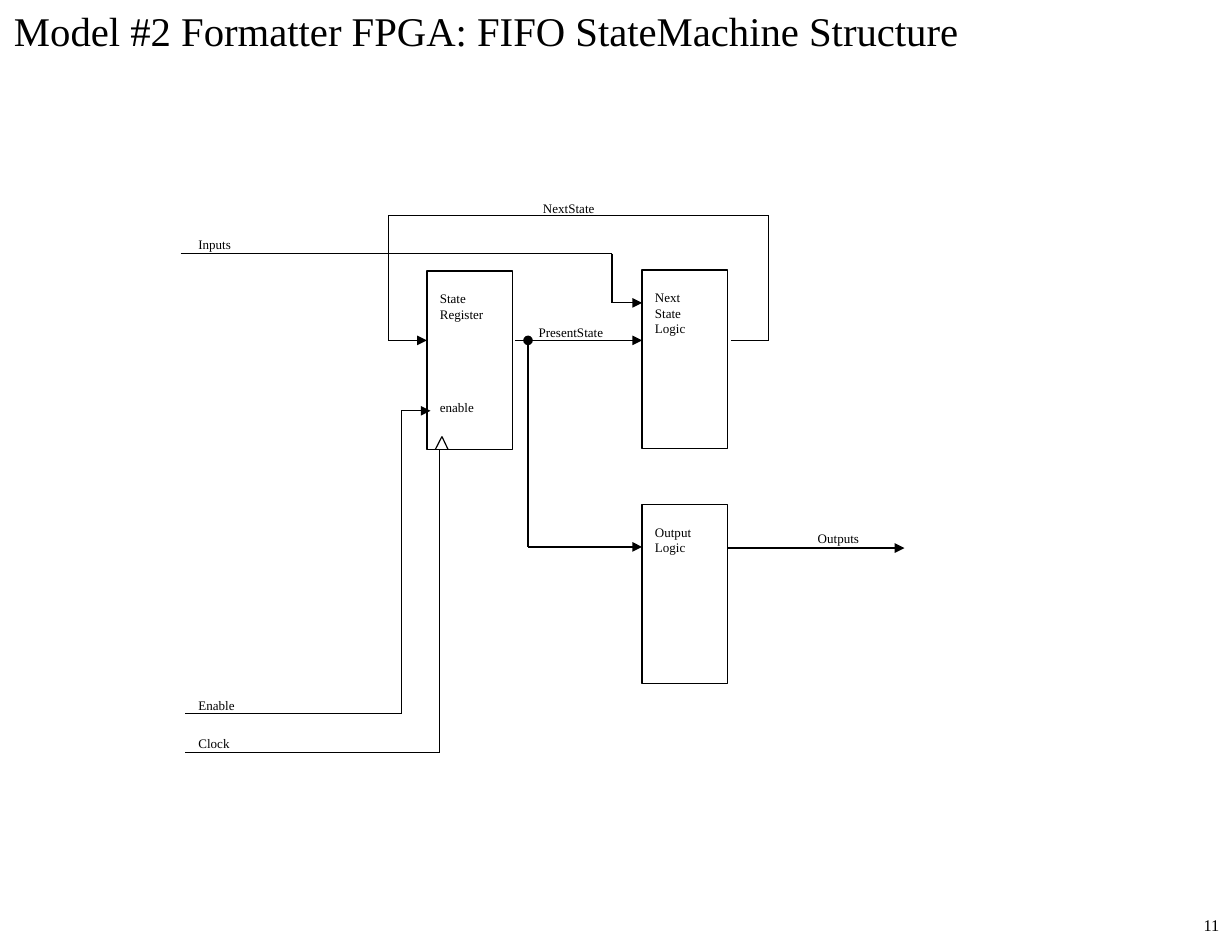
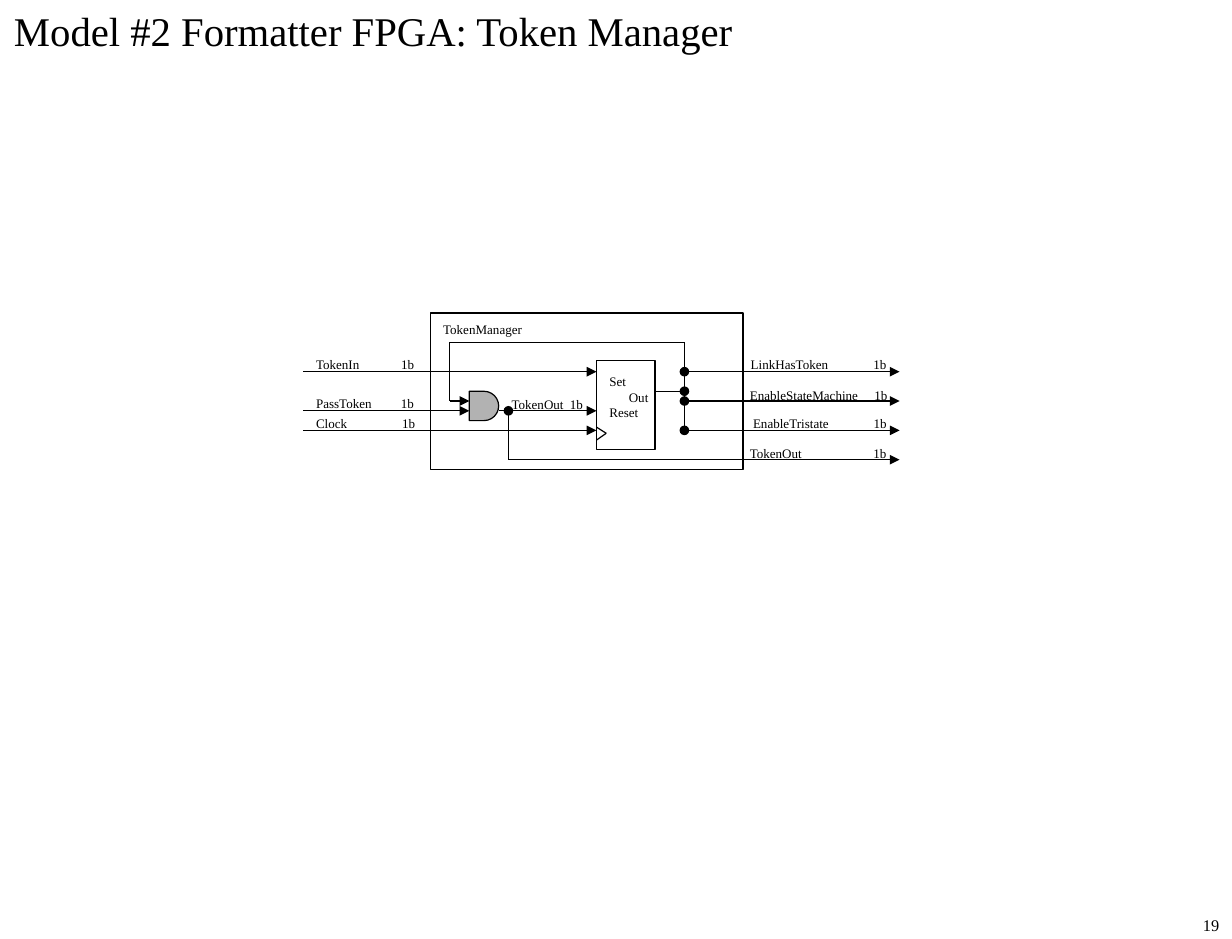
"""Build two slides of FPGA block diagrams: a state machine and a token manager."""
from pptx import Presentation
from pptx.dml.color import RGBColor
from pptx.enum.shapes import MSO_CONNECTOR, MSO_SHAPE
from pptx.enum.text import MSO_ANCHOR, PP_ALIGN
from pptx.oxml.xmlchemy import OxmlElement
from pptx.util import Pt

BLACK = RGBColor(0, 0, 0)
GREY = RGBColor(0xB2, 0xB2, 0xB2)
FONT = "Times New Roman"
STRAIGHT = MSO_CONNECTOR.STRAIGHT
RECT, GATE = MSO_SHAPE.RECTANGLE, MSO_SHAPE.FLOWCHART_DELAY
TOP = MSO_ANCHOR.TOP
LEFT, RIGHT = PP_ALIGN.LEFT, PP_ALIGN.RIGHT
WIDE, HIGH = 756, 576
PAD_X, PAD_Y = 7.92, 3.6
ARROW, DOT = "triangle", "oval"

# Block: place, top padding, lines as (text, indent, space before)
# Wire: corner points, start mark, end mark
# Label: text, left, top, width, tab position on the slide
MACHINE = {
    "title": "Model #2 Formatter FPGA: FIFO StateMachine Structure",
    "page": "11",
    "blocks": [
        ((262, 166.3, 52.6, 109.6), 12,
         [("State", 0, 0), ("Register", 0, 0), ("enable", 0, 47.5)]),
        ((394, 165.6, 52.6, 109.6), 12,
         [("Next", 0, 0), ("State", 0, 0), ("Logic", 0, 0)]),
        ((394, 309.6, 52.6, 109.6), 12,
         [("Output", 0, 0), ("Logic", 0, 0)]),
    ],
    "gates": [],
    "wires": [
        ([(448.5, 208.8), (471.6, 208.8), (471.6, 132.3), (238.4, 132.3),
          (238.4, 208.8), (262, 208.8)], None, ARROW),
        ([(110.9, 155.6), (375.6, 155.6), (375.6, 185.8), (394, 185.8)], None, ARROW),
        ([(316, 208.8), (394, 208.8)], None, ARROW),
        ([(324, 208.8), (324, 335.5), (394, 335.5)], DOT, ARROW),
        ([(446.6, 336.2), (555, 336.2)], None, ARROW),
        ([(113.8, 437.8), (246.2, 437.8), (246.2, 252), (264.2, 252)], None, ARROW),
        ([(113.8, 461.8), (269.5, 461.8), (269.5, 276.3)], None, None),
        ([(267.1, 275.8), (271.2, 267.8), (275, 275.8)], None, None),
    ],
    "labels": [
        ("NextState", 325.3, 119.5, 47, None),
        ("Inputs", 113.8, 141.8, 36, None),
        ("PresentState", 322.6, 195.8, 55, None),
        ("Outputs", 493.9, 321.8, 41, None),
        ("Enable", 113.8, 424.1, 38, None),
        ("Clock", 113.8, 447.8, 35, None),
    ],
}
MANAGER = {
    "title": "Model #2 Formatter FPGA: Token Manager",
    "page": "19",
    "blocks": [
        ((264, 192, 192, 96), 5.2, [("TokenManager", 0, 0)]),
        ((366, 221, 36, 55), 8.2,
         [("Set", 0, 0), ("Out", 12, 0), ("Reset", 0, 0)]),
    ],
    "gates": [(288, 240, 18, 18)],
    "wires": [
        ([(186, 228), (366, 228)], None, ARROW),
        ([(186, 252), (288, 252)], None, ARROW),
        ([(186, 264), (366, 264)], None, ARROW),
        ([(306, 252), (366, 252)], None, ARROW),
        ([(312, 252), (312, 282), (552, 282)], DOT, ARROW),
        ([(402, 240), (420, 240)], None, DOT),
        ([(420, 264), (420, 210), (276, 210), (276, 246), (288, 246)], None, ARROW),
        *[([(420, y), (552, y)], DOT, ARROW) for y in (228, 246, 264)],
        ([(366, 262), (372, 265.8), (366, 270)], None, None),
    ],
    "labels": [
        ("TokenIn\t1b", 186, 215.3, 76, 246.2),
        ("PassToken\t1b", 186, 239.3, 76, 246),
        ("Clock\t1b", 186, 251.2, 76, 246.8),
        ("TokenOut\t1b", 306, 239.9, 60, 349.7),
        ("LinkHasToken\t1b", 452.8, 215.3, 100, 536),
        ("EnableStateMachine\t1b", 452.3, 233.9, 100, 536.6),
        ("EnableTristate\t1b", 454.2, 251.2, 100, 536.2),
        ("TokenOut\t1b", 452.2, 269.9, 100, 536),
    ],
}


def style(par, size, align=LEFT):
    """Give a paragraph the shared font and an alignment."""
    par.alignment = align
    for run in par.runs:
        run.font.size, run.font.name = Pt(size), FONT
        run.font.color.rgb = BLACK


def set_pads(frame, top=PAD_Y, right=PAD_X):
    """Set the padding, anchor and wrapping of a text frame."""
    frame.word_wrap, frame.vertical_anchor = True, TOP
    frame.margin_left, frame.margin_right = Pt(PAD_X), Pt(right)
    frame.margin_top, frame.margin_bottom = Pt(top), Pt(PAD_Y)


def add_text(slide, text, place, size, align=LEFT, right=PAD_X):
    """Add one line of text and return its paragraph."""
    frame = slide.shapes.add_textbox(*map(Pt, place)).text_frame
    set_pads(frame, right=right)
    frame.text = text
    style(frame.paragraphs[0], size, align)
    return frame.paragraphs[0]


def add_label(slide, text, left, top, width, stop):
    """Add a signal name, with its bit width at a tab stop."""
    par = add_text(slide, text, (left, top, width, 17), 8, right=0)
    if stop:
        tabs, tab = OxmlElement("a:tabLst"), OxmlElement("a:tab")
        tab.set("pos", str(int(Pt(stop - left - PAD_X))))
        tab.set("algn", "l")
        tabs.append(tab)
        par._p.get_or_add_pPr().append(tabs)


def add_part(slide, kind, place, fill=None):
    """Add an outlined shape, hollow unless a fill is given."""
    part = slide.shapes.add_shape(kind, *map(Pt, place))
    part.shadow.inherit = False
    part.line.color.rgb, part.line.width = BLACK, Pt(0.75)
    if fill is None:
        part.fill.background()
    else:
        part.fill.solid()
        part.fill.fore_color.rgb = fill
    return part


def add_block(slide, place, top, lines):
    """Add a box with its lines of text."""
    frame = add_part(slide, RECT, place).text_frame
    set_pads(frame, top, right=0)
    frame.text = "\n".join(text for text, _, _ in lines)
    for par, (_, dent, gap) in zip(frame.paragraphs, lines):
        style(par, 8)
        if dent:
            par._p.get_or_add_pPr().set("marL", str(int(Pt(dent))))
        if gap:
            par.space_before = Pt(gap)


def add_wire(slide, points, start, end):
    """Join the points by straight lines, marking the two outer ends."""
    last = len(points) - 2
    for i, (a, b) in enumerate(zip(points, points[1:])):
        wire = slide.shapes.add_connector(STRAIGHT, *map(Pt, a + b))
        wire.line.color.rgb, wire.line.width = BLACK, Pt(0.75)
        marks = [("a:headEnd", start if i == 0 else None),
                 ("a:tailEnd", end if i == last else None)]
        for tag, mark in marks:
            if mark:
                tip = OxmlElement(tag)
                tip.set("type", mark)
                wire.line._get_or_add_ln().append(tip)
        wire._element.spPr.append(OxmlElement("a:effectLst"))


def add_slide(deck, data):
    """Draw one diagram with the shared title and page number."""
    slide = deck.slides.add_slide(deck.slide_layouts[6])
    add_text(slide, data["title"], (0.7, 0, 640, 37.4), 25)
    for block in data["blocks"]:
        add_block(slide, *block)
    for place in data["gates"]:
        add_part(slide, GATE, place, GREY)
    for wire in data["wires"]:
        add_wire(slide, *wire)
    for label in data["labels"]:
        add_label(slide, *label)
    add_text(slide, data["page"], (WIDE - 96, HIGH - 18, 96, 18), 10, RIGHT)


def main():
    """Build and save the deck."""
    deck = Presentation()
    deck.slide_width, deck.slide_height = Pt(WIDE), Pt(HIGH)
    for data in (MACHINE, MANAGER):
        add_slide(deck, data)
    deck.save("out.pptx")


if __name__ == "__main__":
    main()
